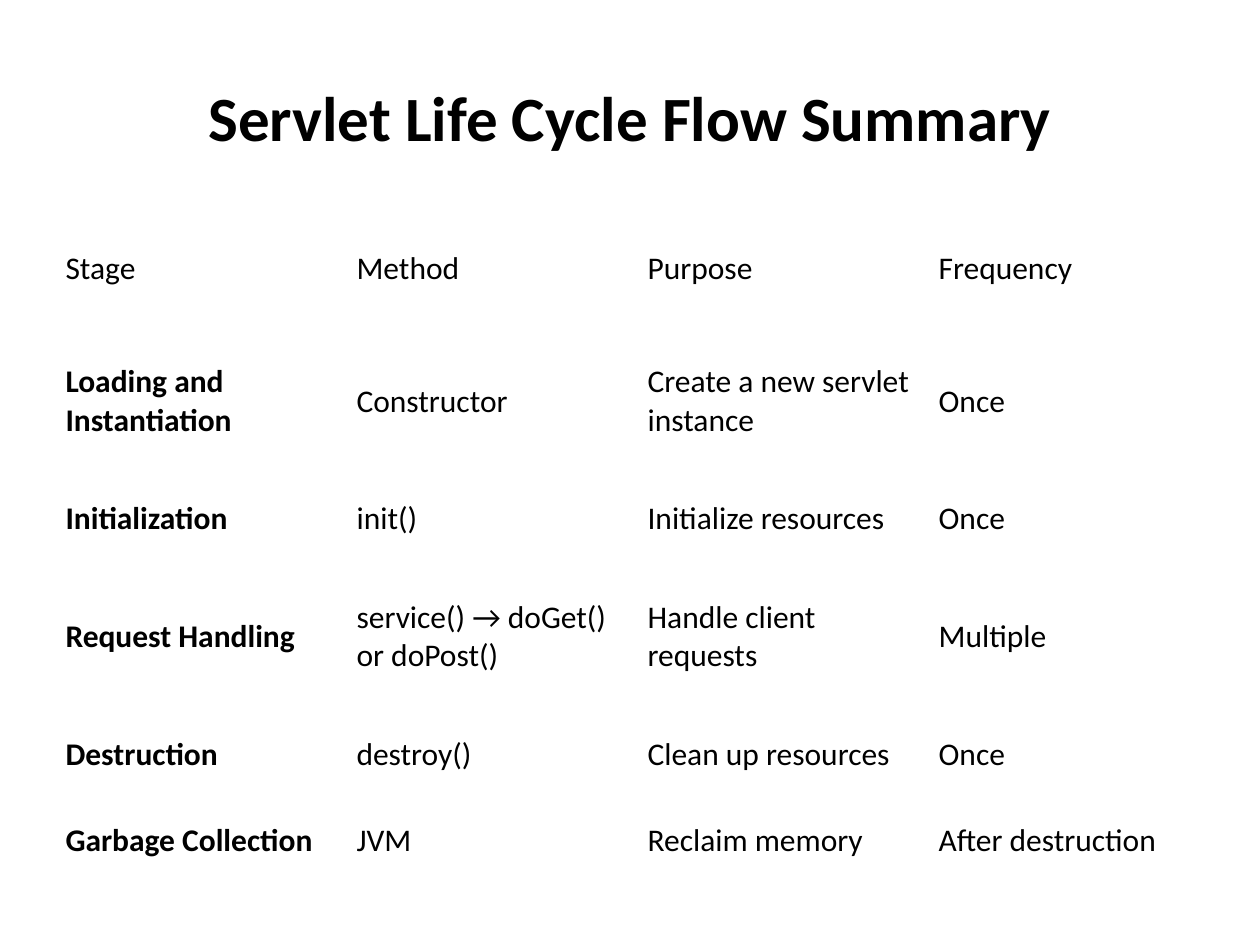
"""Build a slide that summarises the servlet life cycle in a table."""
import pptx
import pptx.dml.color
import pptx.enum.text
import pptx.util

TITLE = "Servlet Life Cycle Flow Summary"
HEADER = ("Stage", "Method", "Purpose", "Frequency")
STAGES = [
    ("Loading and Instantiation", "Constructor", "Create a new servlet instance", "Once"),
    ("Initialization", "init()", "Initialize resources", "Once"),
    ("Request Handling", "service() → doGet() or doPost()", "Handle client requests", "Multiple"),
    ("Destruction", "destroy()", "Clean up resources", "Once"),
    ("Garbage Collection", "JVM", "Reclaim memory", "After destruction"),
]
ROW_HEIGHTS = (0.92, 1.19, 0.68, 1.19, 0.68, 0.68)
COLUMN_WIDTH = 2.31
TABLE_LEFT, TABLE_TOP = 0.42, 1.67
THEME = {
    "font": "Calibri",
    "text": pptx.dml.color.RGBColor(0, 0, 0),
    "title_size": 36,
    "body_size": 18,
}


def write(text_frame, text, size, bold, alignment):
    paragraph = text_frame.paragraphs[0]
    paragraph.alignment = alignment
    run = paragraph.add_run()
    run.text = text
    run.font.name = THEME["font"]
    run.font.size = pptx.util.Pt(size)
    run.font.bold = bold
    run.font.color.rgb = THEME["text"]


def add_title(slide):
    title = slide.shapes.title
    title.left, title.top, title.width, title.height = map(
        pptx.util.Inches, (0.5, 0.3, 9, 1.25))
    title.text_frame.vertical_anchor = pptx.enum.text.MSO_ANCHOR.MIDDLE
    write(title.text_frame, TITLE, THEME["title_size"], True,
          pptx.enum.text.PP_ALIGN.CENTER)


def add_stage_table(slide):
    rows = [HEADER, *STAGES]
    bounds = (TABLE_LEFT, TABLE_TOP, COLUMN_WIDTH * len(HEADER), sum(ROW_HEIGHTS))
    table = slide.shapes.add_table(
        len(rows), len(HEADER), *map(pptx.util.Inches, bounds)).table
    table.first_row = False
    table.horz_banding = False
    for column in table.columns:
        column.width = pptx.util.Inches(COLUMN_WIDTH)
    for row_index, (values, height) in enumerate(zip(rows, ROW_HEIGHTS)):
        table.rows[row_index].height = pptx.util.Inches(height)
        for column_index, value in enumerate(values):
            cell = table.cell(row_index, column_index)
            cell.fill.background()
            cell.vertical_anchor = pptx.enum.text.MSO_ANCHOR.MIDDLE
            is_stage_name = row_index > 0 and column_index == 0
            write(cell.text_frame, value, THEME["body_size"], is_stage_name,
                  pptx.enum.text.PP_ALIGN.LEFT)


def main():
    presentation = pptx.Presentation()
    presentation.slide_width = pptx.util.Inches(10)
    presentation.slide_height = pptx.util.Inches(7.5)
    slide = presentation.slides.add_slide(
        presentation.slide_layouts.get_by_name("Title Only"))
    add_title(slide)
    add_stage_table(slide)
    presentation.save("out.pptx")


if __name__ == "__main__":
    main()
